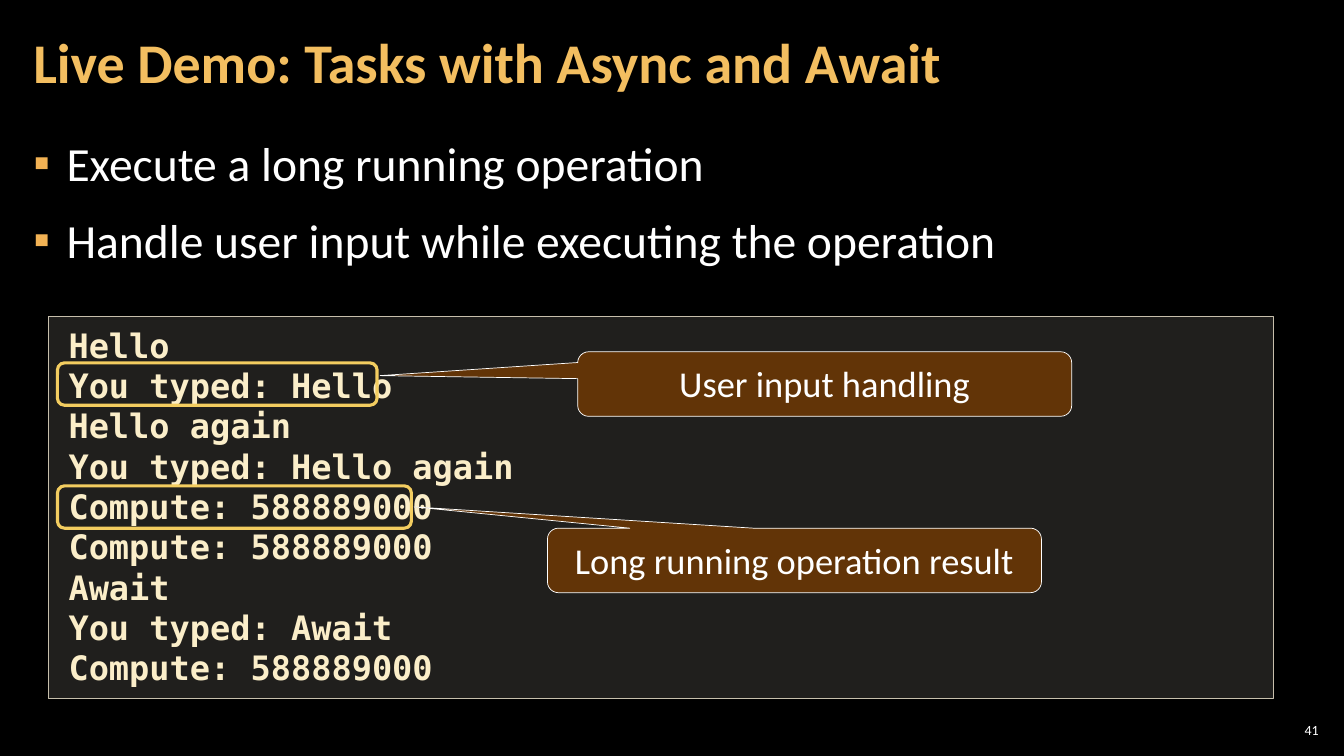
from lxml.etree import SubElement
from pptx import Presentation
from pptx.dml.color import RGBColor
from pptx.enum.shapes import MSO_SHAPE
from pptx.enum.text import MSO_ANCHOR, MSO_AUTO_SIZE, PP_ALIGN
from pptx.oxml.ns import qn
from pptx.util import Inches, Pt

BLACK = RGBColor(0x00, 0x00, 0x00)
WHITE = RGBColor(0xFF, 0xFF, 0xFF)
TITLE_GOLD = RGBColor(0xF3, 0xBE, 0x60)
BULLET_GOLD = RGBColor(0xF2, 0xB2, 0x54)
FRAME_GOLD = RGBColor(0xF3, 0xCD, 0x60)
CONSOLE_FILL = RGBColor(0xD9, 0xD5, 0xC7)
CONSOLE_LINE = RGBColor(0xC7, 0xBF, 0xAC)
CONSOLE_TEXT = RGBColor(0xFB, 0xEE, 0xC9)
CALLOUT_BROWN = RGBColor(0x66, 0x36, 0x06)

BULLETS = [
    "Execute a long running operation",
    "Handle user input while executing the operation",
]
CONSOLE_OUTPUT = [
    "Hello",
    "You typed: Hello",
    "Hello again",
    "You typed: Hello again",
    "Compute: 588889000",
    "Compute: 588889000",
    "Await",
    "You typed: Await",
    "Compute: 588889000",
]
CALLOUTS = [
    ("User input handling", 5.73, 3.49, (-0.9, -0.13, 0.17)),
    ("Long running operation result", 5.43, 5.24, (-0.77, -0.83, 0.17)),
]
HIGHLIGHTS = [(3.6, 3.17), (4.82, 3.51)]


class DemoSlide:
    """Holds the style and the current slide, and adds each kind of element."""

    body_font = "Calibri"
    code_font = "DejaVu Sans Mono"

    def __init__(self, presentation):
        self.slide = presentation.slides.add_slide(presentation.slide_layouts[1])
        background = self.slide.background.fill
        background.solid()
        background.fore_color.rgb = BLACK

    def place(self, shape, left, top, width, height):
        shape.left, shape.top = Inches(left), Inches(top)
        shape.width, shape.height = Inches(width), Inches(height)

    def frame(self, shape, anchor, horizontal, vertical):
        text_frame = shape.text_frame
        text_frame.word_wrap = True
        text_frame.auto_size = MSO_AUTO_SIZE.NONE
        text_frame.vertical_anchor = anchor
        text_frame.margin_left = text_frame.margin_right = Inches(horizontal)
        text_frame.margin_top = text_frame.margin_bottom = Inches(vertical)
        return text_frame

    def run(self, paragraph, text, size, color, font=body_font, bold=False):
        run = paragraph.add_run()
        run.text = text
        run.font.name = font
        run.font.size = Pt(size)
        run.font.bold = bold
        run.font.color.rgb = color

    def paragraphs(self, text_frame, lines):
        for index, line in enumerate(lines):
            first = index == 0
            paragraph = text_frame.paragraphs[0] if first else text_frame.add_paragraph()
            yield index, paragraph, line

    def indent(self, paragraph, margin, first_line=0):
        properties = paragraph._p.get_or_add_pPr()
        properties.set("marL", str(Inches(margin)))
        properties.set("indent", str(Inches(first_line)))
        return properties

    def title(self, text):
        title = self.slide.shapes.title
        self.place(title, 0.21, 0.04, 10.47, 1.21)
        paragraph = self.frame(title, MSO_ANCHOR.MIDDLE, 0.12, 0.04).paragraphs[0]
        paragraph.alignment = PP_ALIGN.LEFT
        paragraph.line_spacing = 0.9
        self.run(paragraph, text, 40, TITLE_GOLD, bold=True)

    def bullets(self, lines):
        body = self.slide.placeholders[1]
        self.place(body, 0.21, 1.26, 12.91, 6.09)
        text_frame = self.frame(body, MSO_ANCHOR.TOP, 0.12, 0.04)
        for index, paragraph, line in self.paragraphs(text_frame, lines):
            paragraph.line_spacing = 1.05
            paragraph.space_before = Pt(6 if index else 0)
            paragraph.space_after = Pt(6)
            properties = self.indent(paragraph, 0.33, -0.33)
            color = SubElement(properties, qn("a:buClr"))
            SubElement(color, qn("a:srgbClr")).set("val", str(BULLET_GOLD))
            SubElement(properties, qn("a:buChar")).set("char", "▪")
            self.run(paragraph, line, 34, WHITE)

    def shape(self, kind, box, line_color, line_width, fill=None, opacity=100):
        shape = self.slide.shapes.add_shape(kind, *map(Inches, box))
        shape.shadow.inherit = False
        shape.line.color.rgb = line_color
        shape.line.width = Pt(line_width)
        if fill is None:
            shape.fill.background()
        else:
            shape.fill.solid()
            shape.fill.fore_color.rgb = fill
            color = shape.fill._xPr.find(qn("a:solidFill"))[0]
            SubElement(color, qn("a:alpha")).set("val", str(opacity * 1000))
        return shape

    def console(self, lines):
        box = (0.48, 3.14, 12.15, 3.79)
        panel = self.shape(MSO_SHAPE.RECTANGLE, box, CONSOLE_LINE, 1, CONSOLE_FILL, 15)
        text_frame = self.frame(panel, MSO_ANCHOR.TOP, 0, 0.08)
        for _, paragraph, line in self.paragraphs(text_frame, lines):
            paragraph.alignment = PP_ALIGN.LEFT
            self.indent(paragraph, 0.2)
            self.run(paragraph, line, 24, CONSOLE_TEXT, self.code_font, True)

    def callout(self, text, left, top, adjustments):
        box = (left, top, 4.9, 0.64)
        kind = MSO_SHAPE.ROUNDED_RECTANGULAR_CALLOUT
        callout = self.shape(kind, box, WHITE, 0.5, CALLOUT_BROWN, 95)
        for index, value in enumerate(adjustments):
            callout.adjustments[index] = value
        paragraph = self.frame(callout, MSO_ANCHOR.MIDDLE, 0.1, 0.08).paragraphs[0]
        paragraph.alignment = PP_ALIGN.CENTER
        paragraph.line_spacing = Pt(30)
        self.run(paragraph, text, 26, WHITE)

    def highlight(self, top, width):
        box = (0.57, top, width, 0.42)
        self.shape(MSO_SHAPE.ROUNDED_RECTANGLE, box, FRAME_GOLD, 2.25)

    def page_number(self, text):
        box = self.slide.shapes.add_textbox(*map(Inches, (12.65, 7.14, 0.47, 0.21)))
        paragraph = self.frame(box, MSO_ANCHOR.MIDDLE, 0.04, 0.04).paragraphs[0]
        paragraph.alignment = PP_ALIGN.RIGHT
        self.run(paragraph, text, 10, WHITE)


def main():
    presentation = Presentation()
    presentation.slide_width = Inches(13.33)
    presentation.slide_height = Inches(7.5)
    demo = DemoSlide(presentation)
    demo.page_number("41")
    demo.bullets(BULLETS)
    demo.title("Live Demo: Tasks with Async and Await")
    demo.console(CONSOLE_OUTPUT)
    for callout in CALLOUTS:
        demo.callout(*callout)
    for top, width in HIGHLIGHTS:
        demo.highlight(top, width)
    presentation.save("out.pptx")


if __name__ == "__main__":
    main()
